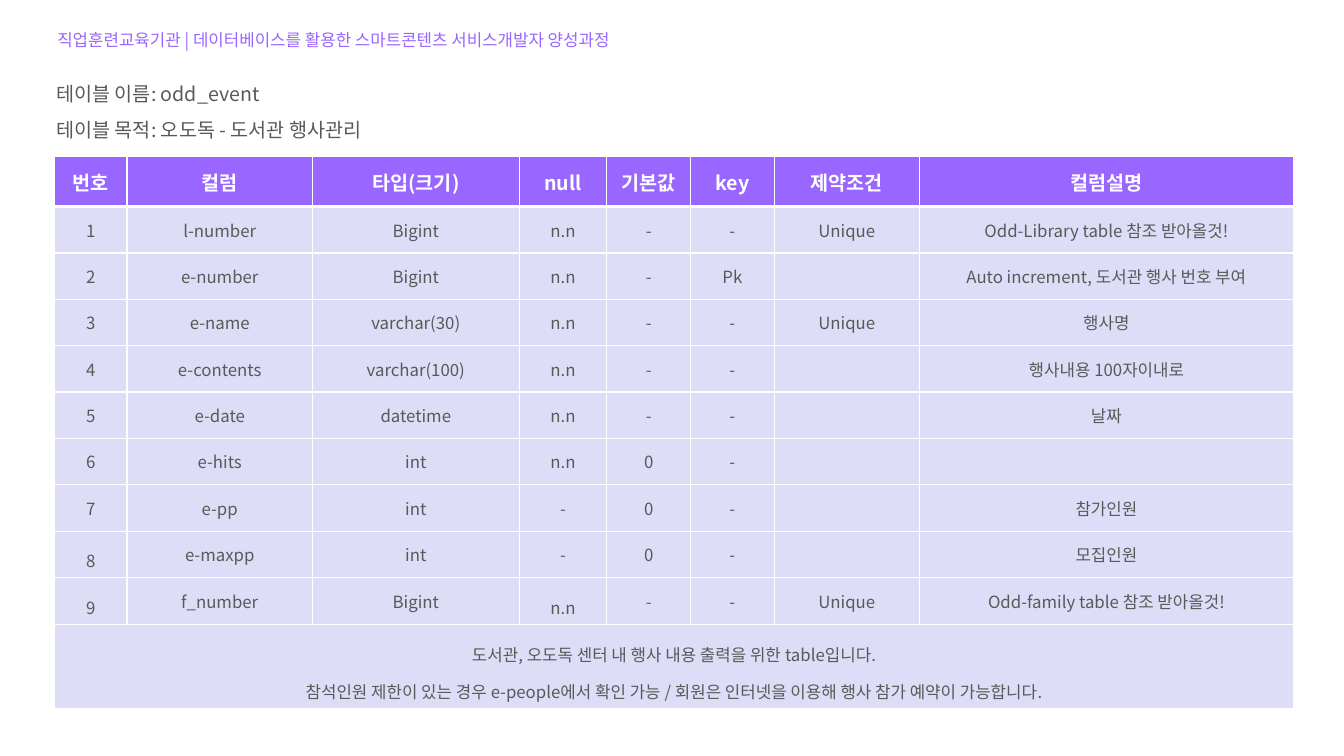
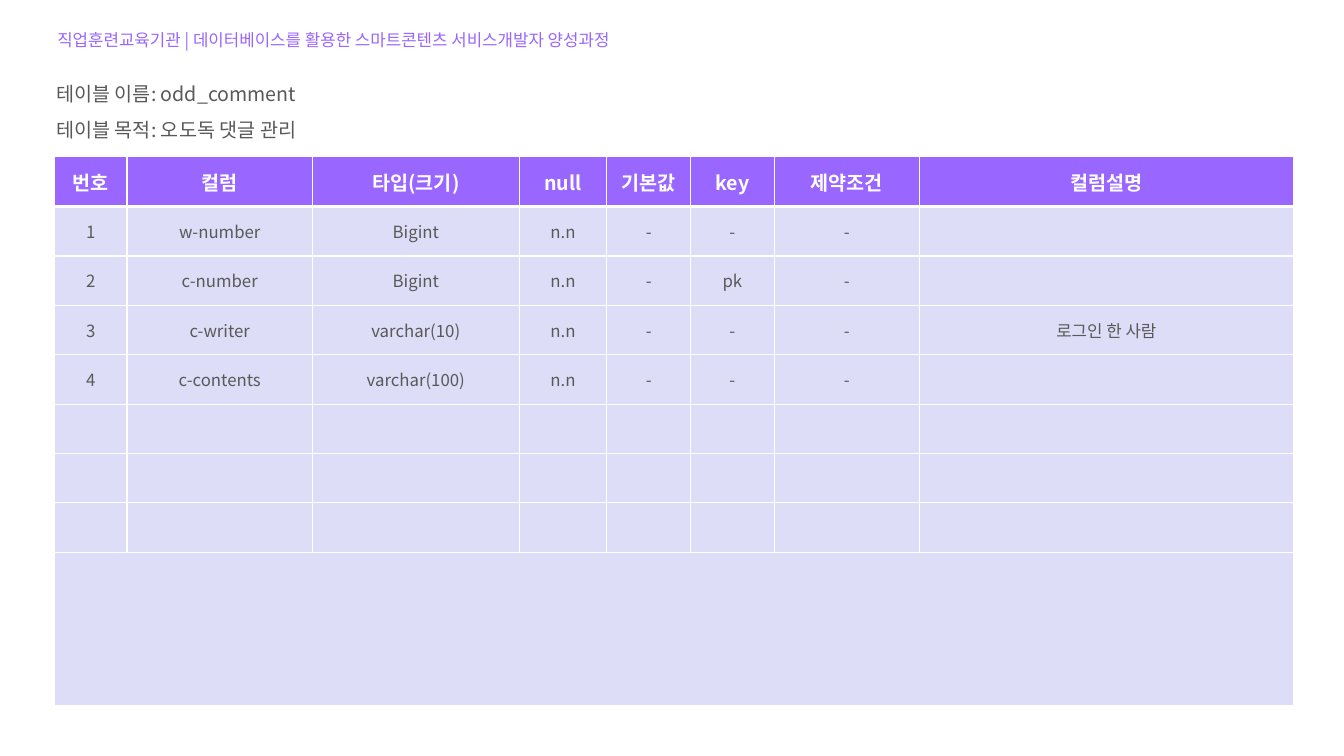
"""Builds the table definition slides for the event and comment tables."""
from dataclasses import dataclass

from lxml.etree import SubElement
from pptx import Presentation
from pptx.dml.color import RGBColor
from pptx.enum.text import MSO_ANCHOR as Anchor, PP_ALIGN as Align
from pptx.oxml import parse_xml
from pptx.oxml.ns import nsdecls, qn
from pptx.slide import Slide
from pptx.table import _Cell as Cell
from pptx.text.text import TextFrame, _Paragraph as Paragraph
from pptx.util import Inches, Pt

FONT = "Noto Sans CJK KR"
PURPLE = RGBColor(0x99, 0x66, 0xFF)
LAVENDER = RGBColor(0xDD, 0xDD, 0xF7)
GRAY = RGBColor(0x59, 0x59, 0x59)
WHITE = RGBColor(0xFF, 0xFF, 0xFF)

COURSE = "직업훈련교육기관 | 데이터베이스를 활용한 스마트콘텐츠 서비스개발자 양성과정"
HEADINGS = ("번호", "컬럼", "타입(크기)", "null", "기본값", "key", "제약조건", "컬럼설명")
COLUMN_WIDTHS = (0.72, 1.84, 2.05, 0.87, 0.83, 0.83, 1.44, 3.71)
TABLE_LEFT, TABLE_TOP, HEADING_HEIGHT = 0.54, 1.55, 0.5
WIDE_SPACING = 1.5
THIN, THICK = 1, 3


@dataclass(frozen=True)
class TextStyle:
    """Look of a piece of text."""
    size: int
    color: RGBColor
    bold: bool = False
    align: Align = Align.LEFT
    spacing: float | None = None


COURSE_STYLE = TextStyle(12, PURPLE, spacing=WIDE_SPACING)
INTRO_STYLE = TextStyle(14, GRAY, spacing=WIDE_SPACING)
HEADING_STYLE = TextStyle(14, WHITE, True, Align.CENTER)
ENTRY_STYLE = TextStyle(12, GRAY, align=Align.CENTER)
WIDE_ENTRY_STYLE = TextStyle(12, GRAY, align=Align.CENTER, spacing=WIDE_SPACING)


@dataclass(frozen=True)
class TableDefinition:
    """One database table with its columns and closing remarks."""
    name: str
    purpose: str
    entries: tuple[tuple[str, ...], ...]
    entry_height: float
    remarks: tuple[str, ...]
    remarks_height: float
    wide_entries: frozenset[tuple[int, int]] = frozenset()


EVENT = TableDefinition(
    "odd_event", "오도독 - 도서관 행사관리",
    (
        ("l-number", "Bigint", "n.n", "-", "-", "Unique", "Odd-Library table 참조 받아올것!"),
        ("e-number", "Bigint", "n.n", "-", "Pk", "", "Auto increment, 도서관 행사 번호 부여"),
        ("e-name", "varchar(30)", "n.n", "-", "-", "Unique", "행사명"),
        ("e-contents", "varchar(100)", "n.n", "-", "-", "", "행사내용 100자이내로"),
        ("e-date", "datetime", "n.n", "-", "-", "", "날짜"),
        ("e-hits", "int", "n.n", "0", "-", "", ""),
        ("e-pp", "int", "-", "0", "-", "", "참가인원"),
        ("e-maxpp", "int", "-", "0", "-", "", "모집인원"),
        ("f_number", "Bigint", "n.n", "-", "-", "Unique", "Odd-family table 참조 받아올것!"),
    ),
    0.46,
    (
        "도서관, 오도독 센터 내 행사 내용 출력을 위한 table입니다.",
        "참석인원 제한이 있는 경우 e-people에서 확인 가능 / "
        "회원은 인터넷을 이용해 행사 참가 예약이 가능합니다.",
    ),
    0.84,
    frozenset({(8, 0), (9, 0), (9, 3)}),
)
COMMENT = TableDefinition(
    "odd_comment", "오도독 댓글 관리",
    (
        ("w-number", "Bigint", "n.n", "-", "-", "-", ""),
        ("c-number", "Bigint", "n.n", "-", "pk", "-", ""),
        ("c-writer", "varchar(10)", "n.n", "-", "-", "-", "로그인 한 사람"),
        ("c-contents", "varchar(100)", "n.n", "-", "-", "-", ""),
        *((),) * 3,
    ),
    0.49, (), 1.52,
)


def add_text(paragraph: Paragraph, text: str, style: TextStyle) -> None:
    """Adds one styled run to a paragraph."""
    paragraph.alignment = style.align
    if style.spacing:
        paragraph.line_spacing = style.spacing
    run = paragraph.add_run()
    run.text = text
    run.font.size, run.font.bold, run.font.name = Pt(style.size), style.bold, FONT
    run.font.color.rgb = style.color
    SubElement(run._r.get_or_add_rPr(), qn("a:ea"), typeface=FONT)


def fill_lines(frame: TextFrame, lines: tuple[str, ...], style: TextStyle) -> None:
    """Writes each line as a paragraph of its own."""
    for index, line in enumerate(lines):
        add_text(frame.add_paragraph() if index else frame.paragraphs[0], line, style)


def add_label(slide: Slide, left: float, top: float, height: float,
              lines: tuple[str, ...], style: TextStyle) -> None:
    """Places a wrapping text box above the table."""
    label = slide.shapes.add_textbox(Inches(left), Inches(top), Inches(11.6), Inches(height))
    label.text_frame.word_wrap = True
    fill_lines(label.text_frame, lines, style)


def paint_cell(cell: Cell, color: RGBColor, top: int = THIN, bottom: int = THIN) -> None:
    """Gives a cell its fill, anchor and white borders."""
    cell.fill.solid()
    cell.fill.fore_color.rgb = color
    cell.vertical_anchor = Anchor.MIDDLE
    properties = cell._tc.get_or_add_tcPr()
    borders = {"lnL": THIN, "lnR": THIN, "lnT": top, "lnB": bottom}
    for index, (side, width) in enumerate(borders.items()):
        properties.insert(index, parse_xml(
            f'<a:{side} {nsdecls("a")} w="{Pt(width)}"><a:solidFill>'
            f'<a:srgbClr val="{WHITE}"/></a:solidFill></a:{side}>'))


def add_definition_table(slide: Slide, definition: TableDefinition) -> None:
    """Draws the headings, numbered entries and merged remarks row."""
    heights = (HEADING_HEIGHT, *[definition.entry_height] * len(definition.entries),
               definition.remarks_height)
    table = slide.shapes.add_table(
        len(heights), len(HEADINGS), Inches(TABLE_LEFT), Inches(TABLE_TOP),
        Inches(sum(COLUMN_WIDTHS)), Inches(sum(heights))).table
    table.horz_banding = False
    for column, width in zip(table.columns, COLUMN_WIDTHS):
        column.width = Inches(width)
    for row, height in zip(table.rows, heights):
        row.height = Inches(height)

    for row_index, row in enumerate(table.rows):
        for cell in row.cells:
            if row_index == 0:
                paint_cell(cell, PURPLE, bottom=THICK)
            else:
                paint_cell(cell, LAVENDER, top=THICK if row_index == 1 else THIN)

    for column_index, heading in enumerate(HEADINGS):
        fill_lines(table.cell(0, column_index).text_frame, (heading,), HEADING_STYLE)
    for number, entry in enumerate(definition.entries, 1):
        for column_index, value in enumerate((str(number), *entry) if entry else ()):
            if value:
                wide = (number, column_index) in definition.wide_entries
                fill_lines(table.cell(number, column_index).text_frame, (value,),
                           WIDE_ENTRY_STYLE if wide else ENTRY_STYLE)

    last_row = len(heights) - 1
    remarks = table.cell(last_row, 0)
    remarks.merge(table.cell(last_row, len(HEADINGS) - 1))
    fill_lines(remarks.text_frame, definition.remarks, WIDE_ENTRY_STYLE)


def add_definition_slide(deck: Presentation, definition: TableDefinition) -> None:
    """Builds one slide describing a database table."""
    slide = deck.slides.add_slide(deck.slide_layouts[6])
    add_definition_table(slide, definition)
    add_label(slide, 0.47, 0.15, 0.35, (COURSE,), COURSE_STYLE)
    intro = (f"테이블 이름: {definition.name}", f"테이블 목적: {definition.purpose}")
    add_label(slide, 0.46, 0.65, 0.75, intro, INTRO_STYLE)


def main() -> None:
    """Builds and saves the presentation."""
    deck = Presentation()
    deck.slide_width, deck.slide_height = Inches(13.33), Inches(7.5)
    for definition in (EVENT, COMMENT):
        add_definition_slide(deck, definition)
    deck.save("out.pptx")


if __name__ == "__main__":
    main()
